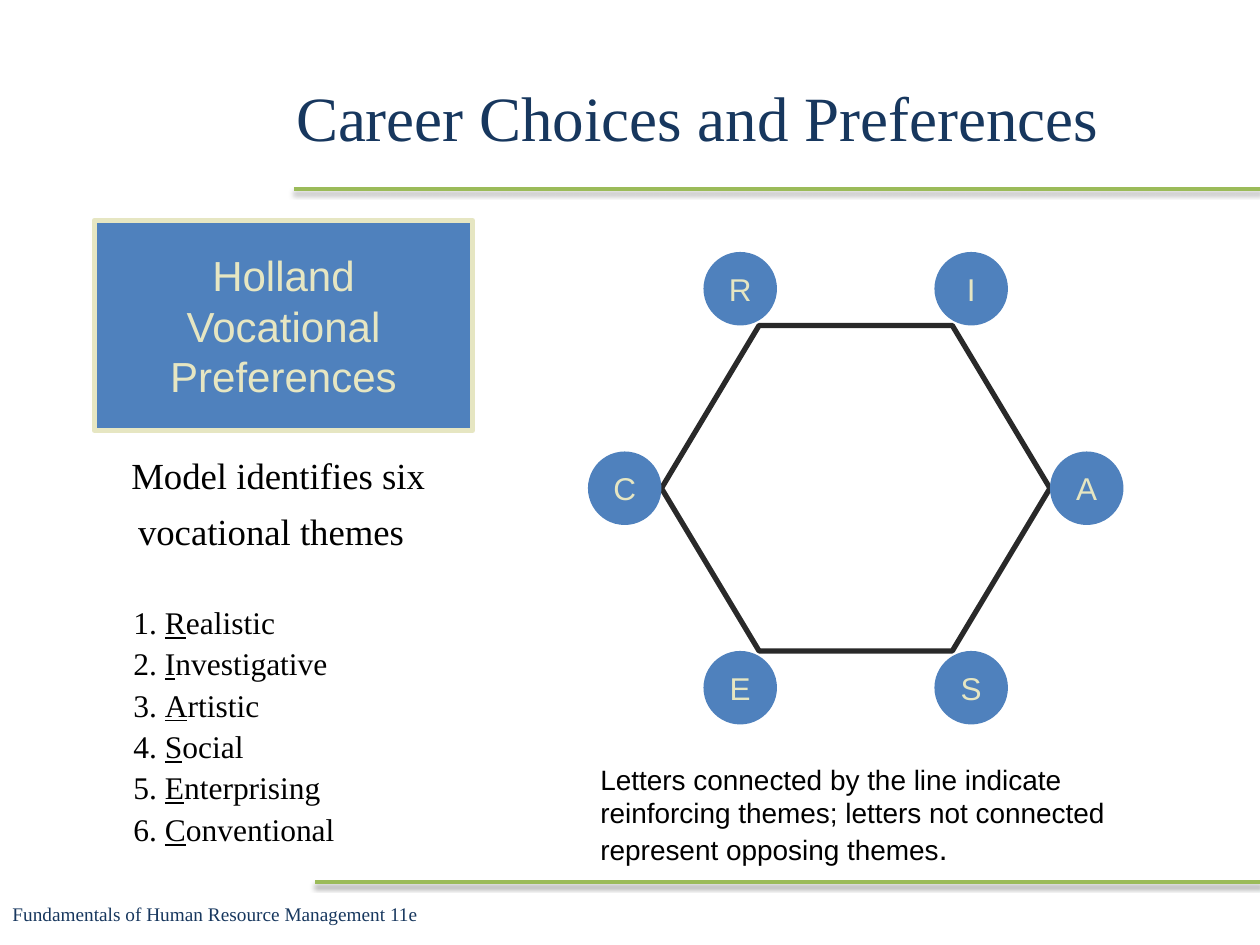
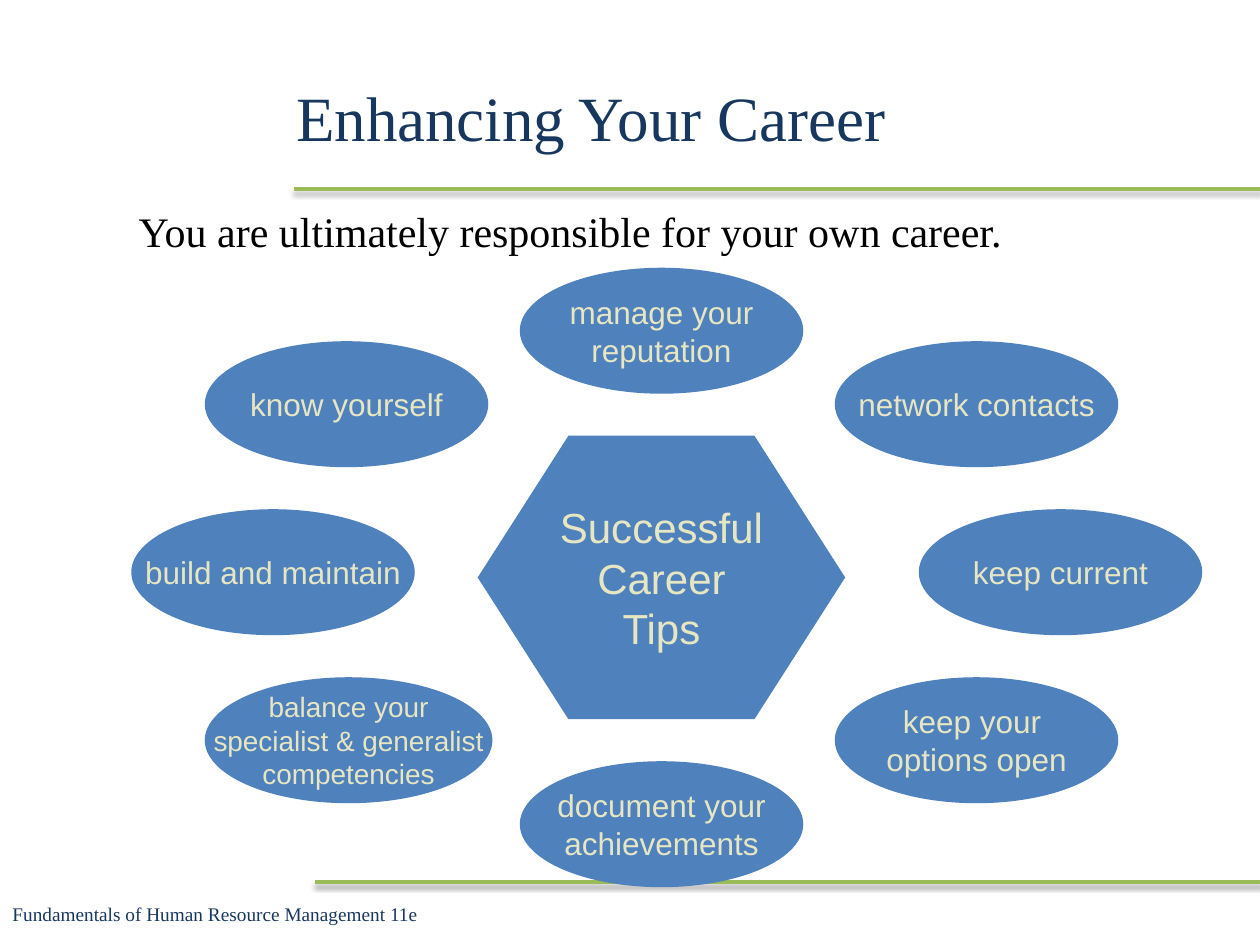
import dataclasses
import lxml.etree
import pptx
import pptx.dml.color
import pptx.enum.shapes
import pptx.enum.text
import pptx.oxml
import pptx.oxml.ns
import pptx.util


@dataclasses.dataclass(frozen=True)
class Theme:
    navy: str = "17375E"
    green: str = "9BBB59"
    blue: str = "4F81BD"
    cream: str = "E6E6C2"
    black: str = "000000"
    charcoal: str = "292929"
    serif: str = "Times New Roman"
    sans: str = "Arial"
    title: int = 36
    spacer: int = 32
    heading: int = 24
    intro: int = 21
    label: int = 18
    small: int = 16
    footer: int = 11


theme = Theme()
rgb = pptx.dml.color.RGBColor.from_string
Pt = pptx.util.Pt
Align = pptx.enum.text.PP_ALIGN
Anchor = pptx.enum.text.MSO_ANCHOR
Preset = pptx.enum.shapes.MSO_SHAPE

deck = pptx.Presentation()
deck.slide_width = pptx.util.Inches(10)
deck.slide_height = pptx.util.Inches(7.5)
column = deck.slide_width / 120
row = deck.slide_height / 90


def write(frame, paragraphs, size=theme.label, font=theme.sans, color=theme.cream,
          align=Align.CENTER, anchor=Anchor.MIDDLE, wrap=False, spacing=None,
          before=(), indent=None):
    frame.auto_size = pptx.enum.text.MSO_AUTO_SIZE.NONE
    frame.word_wrap = wrap
    frame.vertical_anchor = anchor
    for index, runs in enumerate(paragraphs):
        paragraph = frame.add_paragraph() if index else frame.paragraphs[0]
        paragraph.alignment = align
        if spacing:
            paragraph.line_spacing = spacing
        if before:
            paragraph.space_before = Pt(before[index])
        if indent:
            properties = paragraph._p.get_or_add_pPr()
            properties.set("marL", str(round(indent[index] * column)))
            properties.set("indent", "0")
            lxml.etree.SubElement(properties, pptx.oxml.ns.qn("a:buNone"))
        for part in [runs] if isinstance(runs, str) else runs:
            text, own = (part, {}) if isinstance(part, str) else part
            run = paragraph.add_run()
            run.text = text
            run.font.name = font
            run.font.size = Pt(own.get("size", size))
            run.font.color.rgb = rgb(color)
            if "underline" in own:
                run.font.underline = own["underline"]


def place(slide, preset, left, top, width, height, fill=theme.blue, line=None):
    shape = slide.shapes.add_shape(preset, *(round(length) for length in (
        left * column, top * row, width * column, height * row)))
    shape.shadow.inherit = False
    if fill:
        shape.fill.solid()
        shape.fill.fore_color.rgb = rgb(fill)
    else:
        shape.fill.background()
    if line:
        shape.line.color.rgb = rgb(line)
        shape.line.width = Pt(3)
    else:
        shape.line.fill.background()
    return shape


rule_shadow = (
    '<a:effectLst xmlns:a="http://schemas.openxmlformats.org/drawingml/2006/main">'
    '<a:outerShdw blurRad="40000" dist="20000" dir="5400000" rotWithShape="0">'
    '<a:srgbClr val="000000"><a:alpha val="38000"/></a:srgbClr>'
    '</a:outerShdw></a:effectLst>')

slides = []
for heading, body_box in (
        ("Career Choices and Preferences", (10, 43, 33, 39)),
        ("Enhancing Your Career", (12, 19.5, 100, 5))):
    slide = deck.slides.add_slide(deck.slide_layouts[1])
    slides.append(slide)
    for start, height in ((28, 18), (30, 84)):
        rule = slide.shapes.add_connector(
            pptx.enum.shapes.MSO_CONNECTOR.STRAIGHT, round(start * column),
            round(height * row), deck.slide_width, round(height * row))
        rule.line.color.rgb = rgb(theme.green)
        rule.line.width = Pt(2)
        rule._element.spPr.append(pptx.oxml.parse_xml(rule_shadow))
    title, body = slide.placeholders
    for placeholder, box in ((title, (27, 3.6, 87, 15)), (body, body_box)):
        placeholder.left, placeholder.width = (round(n * column) for n in box[::2])
        placeholder.top, placeholder.height = (round(n * row) for n in box[1::2])
    write(title.text_frame, [heading], size=theme.title, font=theme.serif,
          color=theme.navy, align=Align.LEFT, wrap=True)
    footer = slide.shapes.add_textbox(
        0, round(84 * row), round(64 * column), round(6 * row))
    write(footer.text_frame, ["Fundamentals of Human Resource Management 11e"],
          size=theme.footer, font=theme.serif, color=theme.navy,
          align=Align.LEFT, wrap=True)

preferences, tips = slides

themes = ["Realistic", "Investigative", "Artistic", "Social", "Enterprising", "Conventional"]
numbered = [[f"{number}. ", (name[0], {"underline": True}), name[1:]]
            for number, name in enumerate(themes, 1)]
intro = [("Model identifies six vocational themes", {"size": theme.intro}),
         (" ", {"size": theme.spacer})]
theme_list = preferences.placeholders[1].text_frame
write(theme_list, [intro] + numbered, font=theme.serif, color=theme.black,
      align=Align.LEFT, anchor=Anchor.TOP, wrap=True, spacing=0.9,
      before=[0, 28] + [4.2] * 5, indent=[0] + [1.5] * 6)
theme_list.paragraphs[0].alignment = Align.CENTER

holland = place(preferences, Preset.RECTANGLE, 9, 21, 36, 20, line=theme.cream)
write(holland.text_frame, ["Holland", "Vocational", "Preferences"], size=theme.heading)

model = place(preferences, Preset.HEXAGON, 63, 31, 37, 31, fill=None, line=theme.charcoal)
model.adjustments[0] = 0.3

corners = [(67, 24), (89, 24), (100, 43), (89, 62), (67, 62), (56, 43)]
for name, (left, top) in zip(themes, corners):
    letter = place(preferences, Preset.OVAL, left, top, 7, 7)
    write(letter.text_frame, [name[0]])

explanation = preferences.shapes.add_textbox(
    round(56 * column), round(72 * row), round(51 * column), round(11.25 * row))
write(explanation.text_frame,
      [["Letters connected by the line indicate reinforcing themes; "
        "letters not connected represent opposing themes",
        (".", {"size": theme.label})]],
      size=theme.small, color=theme.black, align=Align.LEFT, anchor=Anchor.TOP, wrap=True)

write(tips.placeholders[1].text_frame,
      ["You are ultimately responsible for your own career."],
      size=theme.heading, font=theme.serif, color=theme.black, align=Align.LEFT,
      anchor=Anchor.TOP, wrap=True, spacing=0.9, indent=[0])

for left, top, lines in (
        (49.5, 25.5, ["manage your", "reputation"]),
        (19.5, 32.5, ["know yourself"]),
        (12.5, 48.5, ["build and maintain"]),
        (79.5, 32.5, ["network contacts"]),
        (87.5, 48.5, ["keep current"]),
        (79.5, 64.5, ["keep your ", "options open"]),
        (49.5, 72.5, ["document your", "achievements"]),
        (19.5, 64.5, ["balance your", "specialist & generalist", "competencies"])):
    crowded = len(lines) > 2
    tip = place(tips, Preset.OVAL, left, top, 27.4 if crowded else 27, 12)
    write(tip.text_frame, lines, size=theme.small if crowded else theme.label)

hub = place(tips, Preset.HEXAGON, 45.5, 41.5, 35, 27)
hub.adjustments[0] = 0.32
write(hub.text_frame, ["Successful", "Career", "Tips"], size=theme.heading)

deck.save("out.pptx")
